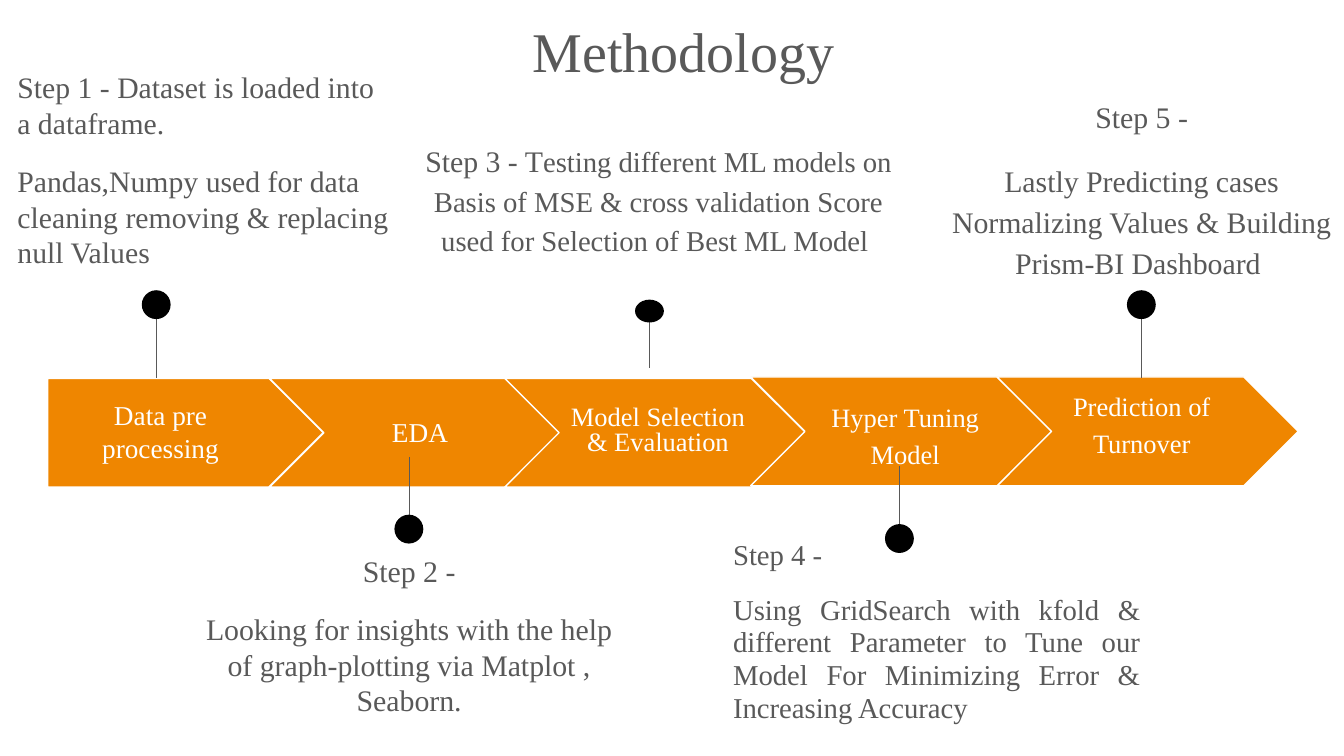
from dataclasses import dataclass
from typing import NamedTuple

from lxml import etree
from pptx import Presentation
from pptx.dml.color import RGBColor
from pptx.enum.shapes import MSO_CONNECTOR, MSO_SHAPE as Preset
from pptx.enum.text import MSO_ANCHOR as Anchor, MSO_AUTO_SIZE as AutoSize, PP_ALIGN as Align
from pptx.oxml.ns import qn
from pptx.util import Pt

PX = 4572  # EMU per px, 200 px to the inch


@dataclass(frozen=True)
class Theme:
    font: str = "Times New Roman"
    ink: RGBColor = RGBColor(0x59, 0x59, 0x59)
    accent: RGBColor = RGBColor(0xEF, 0x86, 0x00)
    light: RGBColor = RGBColor(0xFF, 0xFF, 0xFF)
    dot: RGBColor = RGBColor(0, 0, 0)
    line: float = 0.75
    title: float = 30
    note: float = 16
    note_snug: float = 15.9
    note_small: float = 15.4
    label: float = 14.6
    label_small: float = 14.2


THEME = Theme()


class Box(NamedTuple):
    left: int
    top: int
    width: int
    height: int

    def emu(self) -> list[int]:
        return [value * PX for value in self]


class Span(NamedTuple):
    text: str
    size: float


Paragraphs = tuple[tuple[Span, ...], ...]


@dataclass(frozen=True)
class Copy:
    box: Box
    paragraphs: Paragraphs
    align: Align = Align.CENTER
    spacing: float = 1.0
    gap: int = 12


@dataclass(frozen=True)
class Pin:
    """A dot and the stem that runs from inside it towards the arrow."""
    x: int
    dot_top: int
    stem_top: int
    stem_length: int = 122
    dot_height: int = 43


@dataclass(frozen=True)
class Step:
    arrow: Box
    label: Copy
    pin: Pin
    note: Copy
    preset: Preset = Preset.CHEVRON


def lines(size: float, *texts: str) -> Paragraphs:
    """One paragraph of a single span for each text."""
    return tuple((Span(text, size),) for text in texts)


STEPS = (
    Step(Box(71, 563, 410, 162),
         Copy(Box(80, 591, 318, 102), lines(THEME.label, "Data pre processing")),
         Pin(233, 432, 440),
         Copy(Box(26, 83, 560, 672),
              lines(THEME.note_snug, "Step 1 - Dataset is loaded into a dataframe.",
                    "Pandas,Numpy used for data cleaning removing & replacing null Values"),
              Align.LEFT),
         Preset.PENTAGON),
    Step(Box(401, 563, 448, 162),
         Copy(Box(481, 591, 288, 102), lines(THEME.label, "EDA")),
         Pin(609, 766, 680),
         Copy(Box(296, 802, 626, 672),
              lines(THEME.note, "Step 2 -",
                    "Looking for insights with the help of graph-plotting via Matplot , Seaborn."))),
    Step(Box(751, 563, 448, 162),
         Copy(Box(820, 591, 318, 102),
              lines(THEME.label_small, "Model Selection", "& Evaluation"), spacing=0.8, gap=0),
         Pin(967, 446, 452, 96, 34),
         Copy(Box(630, 184, 700, 672),
              ((Span("Step 3 - T", THEME.note),
                Span("esting different ML models on Basis of MSE & cross validation Score "
                     "used for Selection of Best ML Model ", THEME.note_small)),),
              spacing=1.15)),
    Step(Box(1117, 561, 448, 162),
         Copy(Box(1203, 593, 288, 102),
              lines(THEME.label_small, "Hyper Tuning Model"), spacing=1.15),
         Pin(1339, 780, 694),
         Copy(Box(1091, 782, 606, 672),
              lines(THEME.note_small, "Step 4 - ",
                    "Using GridSearch with kfold & different Parameter to Tune our Model "
                    "For Minimizing Error & Increasing Accuracy"),
              Align.JUSTIFY, 0.95)),
    Step(Box(1484, 561, 448, 162),
         Copy(Box(1555, 577, 288, 102),
              lines(THEME.label_small, "Prediction of Turnover"), spacing=1.15),
         Pin(1699, 432, 440),
         Copy(Box(1386, 119, 626, 672),
              lines(THEME.note, "Step 5 -",
                    "Lastly Predicting cases Normalizing Values & Building Prism-BI Dashboard "),
              spacing=1.15)),
)


def style_line(line, color: RGBColor) -> None:
    line.color.rgb = color
    line.width = Pt(THEME.line)


def style_span(span, size: float, color: RGBColor) -> None:
    span.font.name = THEME.font
    span.font.size = Pt(size)
    span.font.color.rgb = color


def set_frame(frame, side: int, anchor: Anchor) -> None:
    frame.word_wrap = True
    frame.auto_size = AutoSize.NONE
    frame.vertical_anchor = anchor
    frame.margin_left = frame.margin_right = side * PX
    frame.margin_top = frame.margin_bottom = 20 * PX


def add_title(slide, text: str, box: Box) -> None:
    title = slide.shapes.title
    title.left, title.top, title.width, title.height = box.emu()
    style_line(title.line, THEME.light)
    set_frame(title.text_frame, 20, Anchor.MIDDLE)
    title.text_frame.text = text
    para = title.text_frame.paragraphs[0]
    para.alignment = Align.CENTER
    style_span(para.runs[0], THEME.title, THEME.ink)


def add_copy(slide, copy: Copy, color: RGBColor, anchor: Anchor) -> None:
    frame = slide.shapes.add_textbox(*copy.box.emu()).text_frame
    set_frame(frame, 0, anchor)
    for index, spans in enumerate(copy.paragraphs):
        para = frame.add_paragraph() if index else frame.paragraphs[0]
        para.alignment = copy.align
        para.line_spacing = copy.spacing
        para.space_before = Pt(copy.gap if index else 0)
        for text, size in spans:
            span = para.add_run()
            span.text = text
            style_span(span, size, color)


def add_solid(slide, preset: Preset, box: Box, fill: RGBColor):
    shape = slide.shapes.add_shape(preset, *box.emu())
    shape.shadow.inherit = False
    shape.fill.solid()
    shape.fill.fore_color.rgb = fill
    shape.line.fill.background()
    return shape


def add_pin(slide, pin: Pin) -> None:
    ends = (pin.x, pin.stem_top, pin.x, pin.stem_top + pin.stem_length)
    stem = slide.shapes.add_connector(MSO_CONNECTOR.STRAIGHT, *(end * PX for end in ends))
    style_line(stem.line, THEME.ink)
    etree.SubElement(stem._element.spPr, qn("a:effectLst"))
    add_solid(slide, Preset.OVAL, Box(pin.x - 22, pin.dot_top, 43, pin.dot_height), THEME.dot)


def add_step(slide, step: Step) -> None:
    arrow = add_solid(slide, step.preset, step.arrow, THEME.accent)
    style_line(arrow.line, THEME.light)
    add_copy(slide, step.label, THEME.light, Anchor.MIDDLE)
    add_pin(slide, step.pin)
    add_copy(slide, step.note, THEME.ink, Anchor.TOP)


def main() -> None:
    deck = Presentation()
    deck.slide_width, deck.slide_height = 2000 * PX, 1125 * PX
    page = deck.slides.add_slide(deck.slide_layouts.get_by_name("Title Only"))
    add_title(page, "Methodology", Box(644, 6, 746, 138))
    for step in STEPS:
        add_step(page, step)
    deck.save("out.pptx")


if __name__ == "__main__":
    main()
